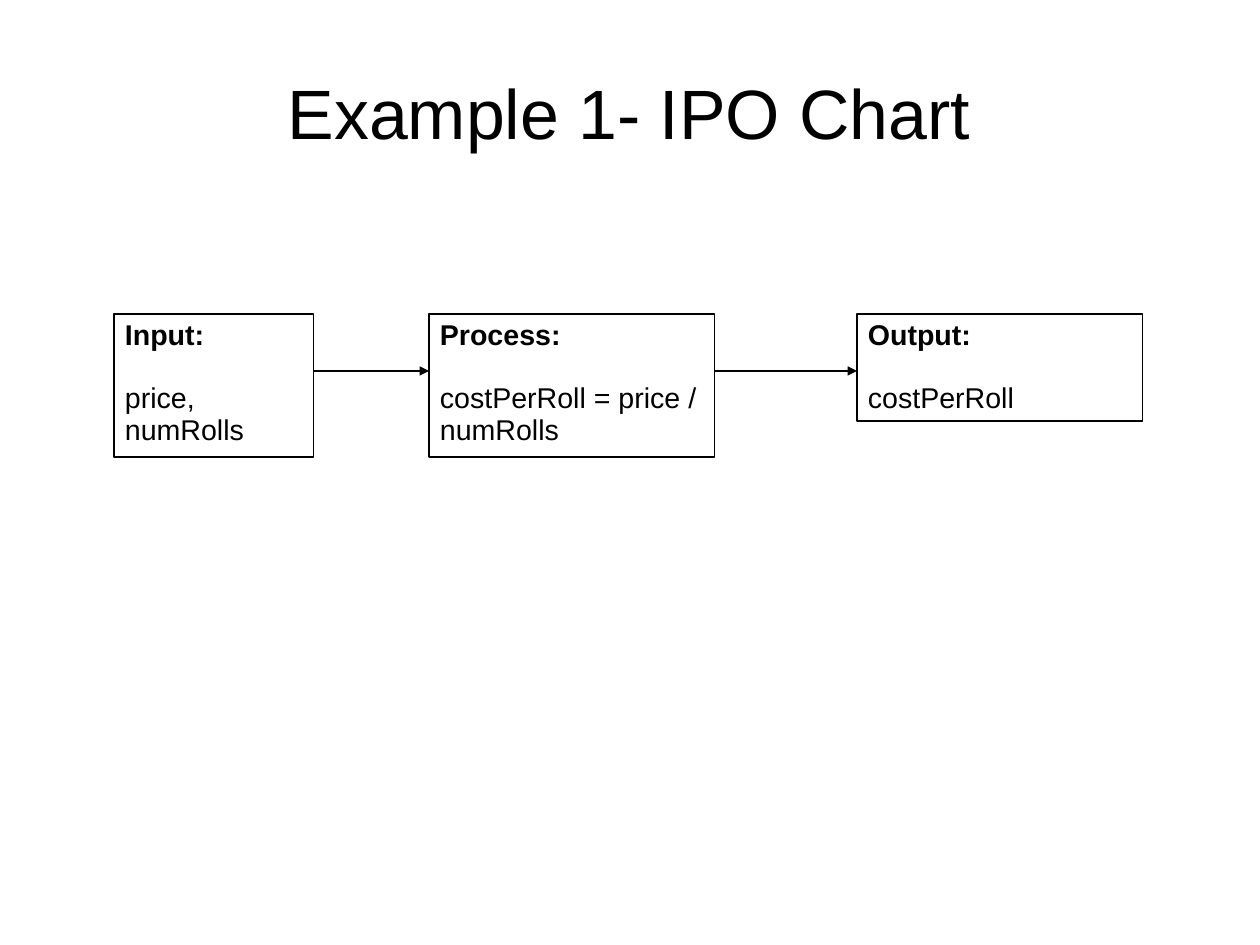
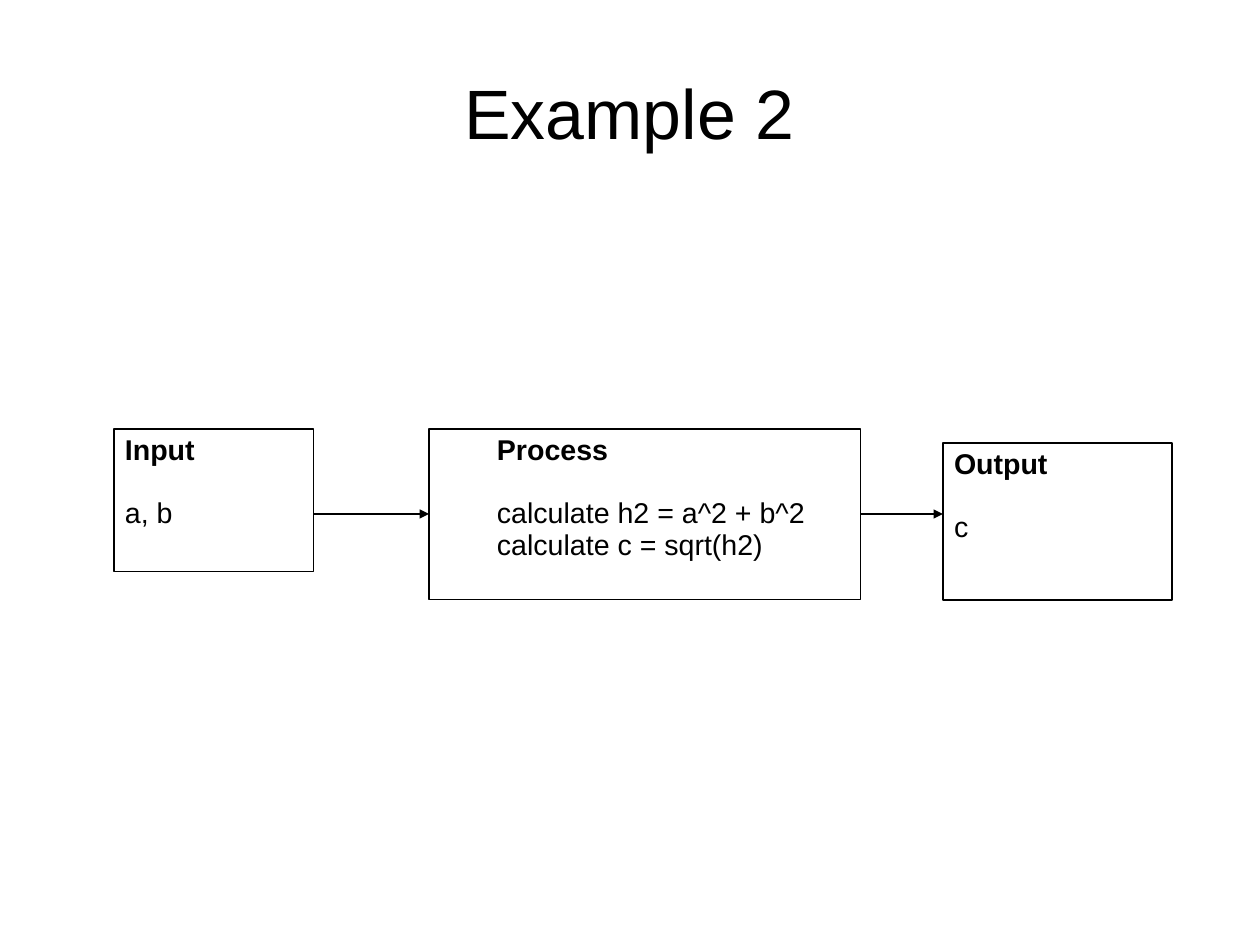
from pptx import Presentation
from pptx.dml.color import RGBColor as RGB
from pptx.enum.shapes import MSO_CONNECTOR as LINK, MSO_SHAPE as SHAPE
from pptx.enum.text import MSO_ANCHOR as ANCHOR, PP_ALIGN as ALIGN
from pptx.oxml.ns import qn
from pptx.util import Pt
from lxml.etree import SubElement as add_tag

PX = 8000  # EMU in one pixel
FONT = "Arial"
INK = {name: RGB.from_string(code) for name, code in {"text": "000000", "line": "000000"}.items()}
RULE = Pt(0.74)
PAD = 11
TAB = 57
GAP = Pt(20)

# Each box: left, top, width, height, indent, head, lines
SLIDES = [
    ("Example 1- IPO Chart", 371, [
        (114, 314, 200, 143, 0, "Input:", ["price,", "numRolls"]),
        (429, 314, 286, 143, 0, "Process:", ["costPerRoll = price / numRolls"]),
        (857, 314, 286, 107, 0, "Output:", ["costPerRoll"]),
    ]),
    ("Example 2", 514, [
        (114, 429, 200, 143, 0, "Input", ["a, b"]),
        (429, 429, 432, 171, TAB, "Process",
         ["calculate h2 = a^2 + b^2", "calculate c = sqrt(h2)"]),
        (943, 443, 229, 157, 0, "Output", ["c"]),
    ]),
]


def style(par, size, bold=False, align=ALIGN.LEFT):
    """Format a paragraph and its runs."""
    par.alignment = align
    par.line_spacing = 0.93
    for run in par.runs:
        run.font.name = FONT
        run.font.size = Pt(size)
        run.font.bold = bold
        run.font.color.rgb = INK["text"]


def arrow(slide, start, end, y):
    """Draw a level arrow from start to end."""
    line = slide.shapes.add_connector(LINK.STRAIGHT, start * PX, y * PX, end * PX, y * PX)
    line.line.color.rgb = INK["line"]
    line.line.width = RULE
    add_tag(line.line._get_or_add_ln(), qn("a:tailEnd"), type="triangle")
    add_tag(line._element.spPr, qn("a:effectLst"))


deck = Presentation()
deck.slide_width, deck.slide_height = 1260 * PX, 945 * PX

# Shared title place
layout = deck.slide_layouts[5]
head = layout.placeholders[0]
head.left, head.top, head.width, head.height = [n * PX for n in (63, 43, 1133, 146)]
frame = head.text_frame
frame.margin_left = frame.margin_right = frame.margin_top = frame.margin_bottom = 0
frame.vertical_anchor = ANCHOR.MIDDLE

for title, mid, boxes in SLIDES:
    slide = deck.slides.add_slide(layout)
    slide.shapes.title.text_frame.text = title
    style(slide.shapes.title.text_frame.paragraphs[0], 44, align=ALIGN.CENTER)

    for left, top, width, height, indent, label, lines in boxes:
        box = slide.shapes.add_shape(SHAPE.RECTANGLE, left * PX, top * PX, width * PX, height * PX)
        box.shadow.inherit = False
        box.fill.background()
        box.line.color.rgb = INK["line"]
        box.line.width = RULE
        frame = box.text_frame
        frame.word_wrap = True
        frame.vertical_anchor = ANCHOR.TOP
        frame.margin_left = (PAD + indent) * PX
        frame.text = "\n".join([label, *lines])
        for i, par in enumerate(frame.paragraphs):
            style(par, 18, bold=i == 0)
        frame.paragraphs[1].space_before = GAP

    for box, after in zip(boxes, boxes[1:]):
        arrow(slide, box[0] + box[2], after[0], mid)

deck.save("out.pptx")
